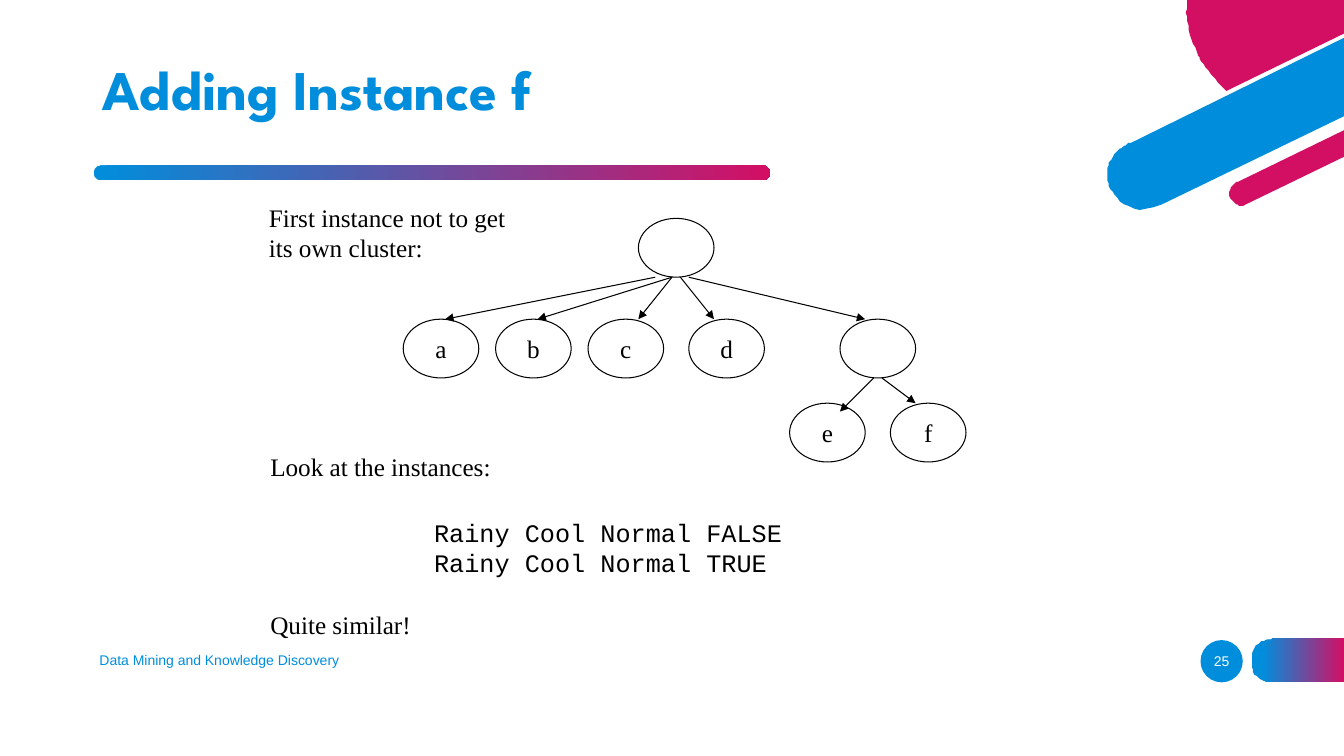
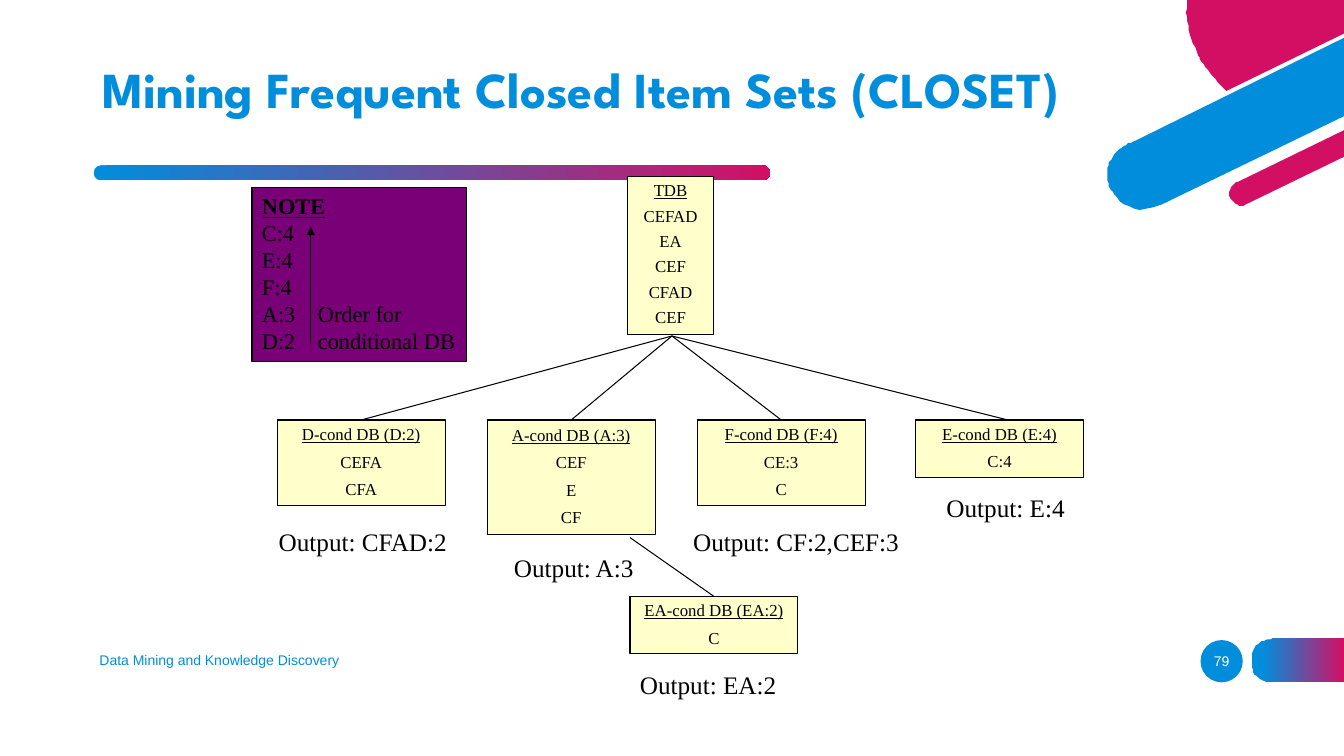
from pptx import Presentation
from pptx.dml.color import RGBColor
from pptx.enum.shapes import MSO_CONNECTOR, MSO_SHAPE
from pptx.enum.text import MSO_ANCHOR, PP_ALIGN
from pptx.oxml.ns import qn
from pptx.util import Pt
from lxml import etree

BLUE = RGBColor(0x00, 0x8E, 0xDC)
PINK = RGBColor(0xD3, 0x0F, 0x64)
PURPLE = RGBColor(0x7A, 0x00, 0x78)
CREAM = RGBColor(0xFF, 0xFF, 0xCC)
BLACK = RGBColor(0, 0, 0)
WHITE = RGBColor(0xFF, 0xFF, 0xFF)

HEAD, SERIF, MONO, SANS = "League Spartan", "Times New Roman", "Courier New", "Arial"
OVAL, RECT, PILL = MSO_SHAPE.OVAL, MSO_SHAPE.RECTANGLE, MSO_SHAPE.ROUNDED_RECTANGLE
STRAIGHT = MSO_CONNECTOR.STRAIGHT
TOP, MIDDLE = MSO_ANCHOR.TOP, MSO_ANCHOR.MIDDLE
LEFT, CENTER = PP_ALIGN.LEFT, PP_ALIGN.CENTER

FOOTER = "Data Mining and Knowledge Discovery"

# Outlines: a pair is a straight segment, a triple of pairs is a Bezier curve.
CIRCLE_PART = [(848.2, 0), ((846, 11.5), (848.9, 24.5), (855.4, 37.4)), (856.1, 39.6),
               ((856.1, 39.6), (863.3, 53.3), (876.2, 64.8)), (960, 24.5), (960, 0)]
WIDE_BAND = [(960, 27.4), (807.8, 101.5),
             ((801.4, 105.1), (801.4, 105.1), (796.3, 110.2)),
             ((789.8, 118.1), (789.1, 126), (793.4, 135.4)),
             ((794.2, 136.8), (805.7, 157.7), (830.2, 146.2)), (960, 82.8)]
THIN_BAND = [(960, 92.9), (884.2, 129.6),
             ((884.2, 129.6), (875.5, 133.9), (879.1, 141.8)),
             ((879.8, 142.6), (883.4, 149.8), (892.1, 145.4)), (960, 112.3)]
FOOTER_TAB = [(960, 487.4), (960, 456.5), (908.6, 456.5),
              ((908.6, 456.5), (893.5, 456.5), (893.5, 472)),
              ((893.5, 472), (893.5, 487.4), (908.6, 487.4))]

# Cluster tree: label, left, top
NODE_W, NODE_H = 54, 42
NODES = [("", 456, 156), ("a", 288, 228), ("b", 354, 228), ("c", 420, 228),
         ("d", 492, 228), ("", 600, 228), ("e", 564, 288), ("f", 636, 288)]
ARROWS = [((468, 198), (318, 228)), ((480, 198), (384, 228)), ((480, 198), (456, 228)),
          ((486, 198), (510, 228)), ((492, 198), (618, 228)),
          ((624, 270), (600, 294)), ((630, 270), (654, 288))]
# Lines, left, top, width, font
REMARKS = [
    (["First instance not to get", "its own cluster:"], 185, 141, 185, SERIF),
    (["Look at the instances:"], 186, 319, 174, SERIF),
    (["Rainy Cool Normal FALSE", "Rainy Cool Normal TRUE"], 303, 366, 264, MONO),
    (["Quite similar!"], 186, 432, 116, SERIF),
]

# Databases: lines, left, top, width, height, line spacing
COND_W, COND_LINE = 120, 20.4
TDB = ["TDB", "CEFAD", "EA", "CEF", "CFAD", "CEF"]
CONDITIONAL = [
    (["D-cond DB (D:2)", "CEFA", "CFA"], 198, 300),
    (["A-cond DB (A:3)", "CEF", "E", "CF"], 348, 300),
    (["F-cond DB (F:4)", "CE:3", "C"], 498, 300),
    (["E-cond DB (E:4)", "C:4"], 654, 300),
    (["EA-cond DB (EA:2)", "C"], 450, 426),
]
OUTPUTS = [("Output: CFAD:2", 192, 372, 136), ("Output: A:3", 360, 391, 101),
           ("Output: CF:2,CEF:3", 488, 372, 162), ("Output: E:4", 669, 348, 100),
           ("Output: EA:2", 450, 474, 113)]
BRANCHES = [((480, 240), (x, 300)) for x in (258, 408, 558, 720)] + [((450, 384), (510, 426))]
NOTE = ["NOTE", "C:4", "E:4", "F:4", "A:3\tOrder for", "D:2\tconditional DB"]
NOTE_TAB = 40


def set_text(s, lines, size, color=BLACK, font=SERIF, align=LEFT, anchor=TOP,
             spacing=None, before=None):
    tf = s.text_frame
    tf.word_wrap = True
    tf.vertical_anchor = anchor
    if align == LEFT:
        tf.margin_right = 0
    tf.text = "\n".join(lines)
    for p in tf.paragraphs:
        p.alignment = align
        if spacing:
            p.line_spacing = spacing
        if before:
            p.space_before = Pt(before)
        for r in p.runs:
            r.font.size, r.font.name = Pt(size), font
            r.font.color.rgb = color
    return tf


def add_text(slide, lines, x, y, w, h, size, **style):
    s = slide.shapes.add_textbox(Pt(x), Pt(y), Pt(w), Pt(h))
    return set_text(s, lines, size, **style)


def paint(s, fill=None, outline=None):
    """Fill with nothing, one colour, or a left-to-right gradient of two stops."""
    s.shadow.inherit = False
    if fill is None:
        s.fill.background()
    elif isinstance(fill, RGBColor):
        s.fill.solid()
        s.fill.fore_color.rgb = fill
    else:
        s.fill.gradient()
        s.fill.gradient_angle = 0
        for stop, (position, color) in zip(s.fill.gradient_stops, fill):
            stop.position, stop.color.rgb = position, color
    if outline is None:
        s.line.fill.background()
    else:
        s.line.color.rgb = outline
        s.line.width = Pt(0.75)


def add_shape(slide, kind, x, y, w, h, fill=None, outline=None):
    s = slide.shapes.add_shape(kind, Pt(x), Pt(y), Pt(w), Pt(h))
    paint(s, fill, outline)
    return s


def add_outline(slide, segments, fill, steps=12):
    points = [segments[0]]
    for segment in segments[1:]:
        if len(segment) == 2:
            points.append(segment)
            continue
        a, (b, c, d) = points[-1], segment
        for t in (i / steps for i in range(1, steps + 1)):
            u = 1 - t
            points.append(tuple(u**3 * a[k] + 3 * u * u * t * b[k] + 3 * u * t * t * c[k]
                                + t**3 * d[k] for k in (0, 1)))
    builder = slide.shapes.build_freeform(*points[0], scale=Pt(1))
    builder.add_line_segments(points[1:], close=True)
    paint(builder.convert_to_shape(), fill)


def add_line(slide, start, end, arrow=False):
    s = slide.shapes.add_connector(STRAIGHT, *map(Pt, start + end))
    s.line.color.rgb = BLACK
    s.line.width = Pt(0.75)
    if arrow:
        etree.SubElement(s.line._get_or_add_ln(), qn("a:tailEnd"), type="triangle")
    etree.SubElement(s._element.spPr, qn("a:effectLst"))


def add_slide(prs, title, title_size, number):
    """Add a slide with the shared decoration, title, footer and page number."""
    slide = prs.slides.add_slide(prs.slide_layouts[6])
    add_outline(slide, CIRCLE_PART, PINK)
    add_outline(slide, WIDE_BAND, BLUE)
    add_outline(slide, THIN_BAND, PINK)
    add_outline(slide, FOOTER_TAB, [(0.12, BLUE), (1, PINK)])
    bar = add_shape(slide, PILL, 66.9, 118.1, 483.2, 10.8, [(0, BLUE), (1, PINK)])
    bar.adjustments[0] = 0.5
    badge = add_shape(slide, OVAL, 857.5, 457.2, 30.2, 30.2, BLUE)
    tf = set_text(badge, [str(number)], 10, WHITE, SANS, CENTER, MIDDLE)
    tf.margin_left = tf.margin_right = 0
    add_text(slide, [FOOTER], 64, 456.5, 324, 29, 10, color=BLUE, font=SANS, anchor=MIDDLE)
    tf = add_text(slide, [title], 66, 29, 713, 74, title_size, color=BLUE, font=HEAD,
                  anchor=MIDDLE, spacing=0.9)
    tf.paragraphs[0].runs[0].font.bold = True
    return slide


def add_database(slide, lines, x, y, w, h, spacing):
    s = add_shape(slide, RECT, x, y, w, h, CREAM, BLACK)
    tf = set_text(s, lines, 12, align=CENTER, anchor=MIDDLE, spacing=spacing, before=6.6)
    tf.paragraphs[0].runs[0].font.underline = True


def add_note(slide):
    s = add_shape(slide, RECT, 180, 134, 153.5, 124, PURPLE, BLACK)
    tf = set_text(s, NOTE, 16)
    heading = tf.paragraphs[0].runs[0].font
    heading.bold = heading.underline = True
    for p in tf.paragraphs:
        if "\t" in p.text:
            tabs = etree.SubElement(p._p.get_or_add_pPr(), qn("a:tabLst"))
            etree.SubElement(tabs, qn("a:tab"), pos=str(Pt(NOTE_TAB)), algn="l")
    add_line(slide, (222, 246), (222, 162), arrow=True)


def build_cluster_slide(prs):
    slide = add_slide(prs, "Adding Instance f", 40, 25)
    for label, x, y in NODES:
        s = add_shape(slide, OVAL, x, y, NODE_W, NODE_H, outline=BLACK)
        if label:
            set_text(s, [label], 18, align=CENTER, anchor=MIDDLE)
    for start, end in ARROWS:
        add_line(slide, start, end, arrow=True)
    for lines, x, y, w, font in REMARKS:
        add_text(slide, lines, x, y, w, 7.2 + 21.6 * len(lines), 18, font=font)


def build_closet_slide(prs):
    slide = add_slide(prs, "Mining Frequent Closed Item Sets (CLOSET)", 36, 79)
    add_database(slide, TDB, 448, 126, 62, 113, 0.8)
    for lines, x, y in CONDITIONAL:
        add_database(slide, lines, x, y, COND_W, COND_LINE * len(lines), 0.9)
    for start, end in BRANCHES:
        add_line(slide, start, end)
    for text, x, y, w in OUTPUTS:
        add_text(slide, [text], x, y, w, 29, 18, anchor=MIDDLE)
    add_note(slide)


def main():
    prs = Presentation()
    prs.slide_width, prs.slide_height = Pt(960), Pt(540)
    build_cluster_slide(prs)
    build_closet_slide(prs)
    prs.save("out.pptx")


if __name__ == "__main__":
    main()
